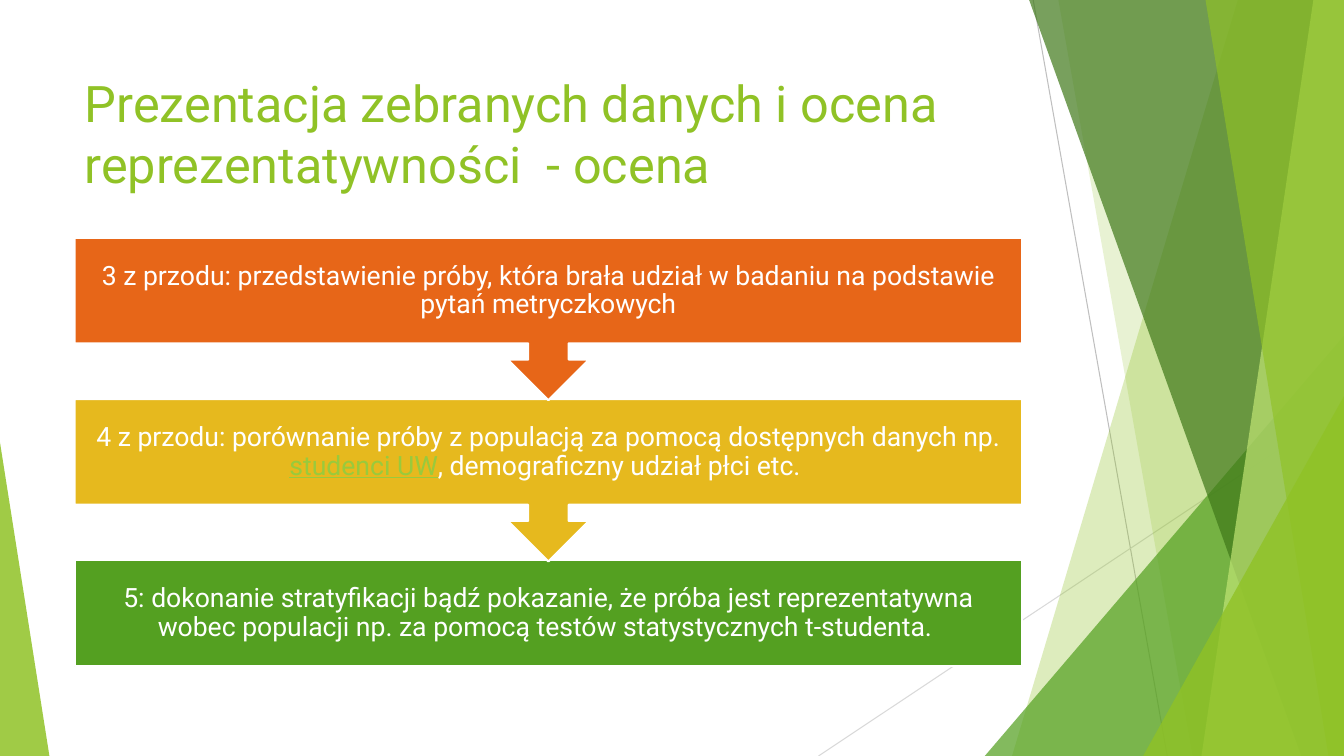
from typing import NamedTuple

from lxml.etree import SubElement
from pptx import Presentation
from pptx.dml.color import RGBColor
from pptx.enum.shapes import MSO_CONNECTOR, MSO_SHAPE
from pptx.enum.text import MSO_ANCHOR, MSO_AUTO_SIZE, PP_ALIGN
from pptx.oxml.ns import qn
from pptx.util import Pt

W, H = 960, 540
LEFT, WIDTH = 53.28, 676.8
STEP_TOP, STEP_PITCH, BOX_H, CALLOUT_H = 169.92, 115.2, 75.6, 115.92
FONT = "Roboto"
COLORS = {
    "lime": "90C226", "green": "54A021", "forest": "3F7819", "pale": "C0E474",
    "orange": "E76618", "gold": "E6B91E", "link": "99CA3C", "white": "FFFFFF",
    "gray": "BFBFBF", "silver": "D9D9D9",
}


class Line(NamedTuple):
    x1: float
    y1: float
    x2: float
    y2: float
    color: str


class Shard(NamedTuple):
    top_x: float
    bottom_x: float
    color: str
    alpha: int


class Triangle(NamedTuple):
    x: float
    y: float
    w: float
    apex: float
    color: str
    alpha: int


class Run(NamedTuple):
    text: str
    color: str = "white"
    underline: bool = False


class Step(NamedTuple):
    color: str
    runs: tuple[Run, ...]


DECOR = (
    Line(738, 0, 833.76, H, "gray"),
    Line(W, 290.16, 584.64, H, "silver"),
    Shard(884.16, 722.88, "lime", 30),
    Shard(756, 851.76, "lime", 20),
    Triangle(703.44, 239.76, 256.56, 1, "green", 72),
    Shard(735.12, 929.52, "forest", 70),
    Shard(938.16, 858.24, "pale", 70),
    Shard(861.12, 948.96, "lime", 65),
    Triangle(816.48, 282.96, 143.52, 1, "lime", 80),
    Triangle(0, 316.08, 35.28, 0, "lime", 85),
)
STEPS = (
    Step("orange", (Run("3 z przodu: przedstawienie próby, która brała udział w badaniu "
                        "na podstawie pytań metryczkowych"),)),
    Step("gold", (Run("4 z przodu: porównanie próby z populacją za pomocą dostępnych danych np. "),
                  Run("studenci UW", "link", True),
                  Run(", demograficzny udział płci etc. "))),
    Step("green", (Run("5: dokonanie stratyfikacji bądź pokazanie, że próba jest reprezentatywna "
                       "wobec populacji np. za pomocą testów statystycznych t-studenta. "),)),
)


def rgb(name: str) -> RGBColor:
    return RGBColor.from_string(COLORS[name])


def fill_shape(sp, color: str, alpha: int = 100) -> None:
    sp.shadow.inherit = False
    sp.fill.solid()
    sp.fill.fore_color.rgb = rgb(color)
    if alpha < 100:
        clr = sp.fill._xPr.find(qn("a:solidFill"))[0]
        SubElement(clr, qn("a:alpha")).set("val", str(alpha * 1000))


def draw_line(s, item: Line) -> None:
    ends = (Pt(v) for v in item[:4])
    cx = s.shapes.add_connector(MSO_CONNECTOR.STRAIGHT, *ends)
    cx.line.color.rgb = rgb(item.color)
    cx.line.width = Pt(0.75)
    SubElement(cx._element.spPr, qn("a:effectLst"))


def draw_shard(s, item: Shard) -> None:
    """Draw a band from a slanted left side to the right slide edge."""
    fb = s.shapes.build_freeform(Pt(item.top_x), 0)
    fb.add_line_segments([(Pt(W), 0), (Pt(W), Pt(H)), (Pt(item.bottom_x), Pt(H))])
    sp = fb.convert_to_shape()
    fill_shape(sp, item.color, item.alpha)
    sp.line.fill.background()


def draw_triangle(s, item: Triangle) -> None:
    sp = s.shapes.add_shape(MSO_SHAPE.ISOSCELES_TRIANGLE, Pt(item.x), Pt(item.y),
                            Pt(item.w), Pt(H - item.y))
    sp.adjustments[0] = item.apex
    fill_shape(sp, item.color, item.alpha)
    sp.line.fill.background()


def add_run(p, run: Run, size: float) -> None:
    r = p.add_run()
    r.text = run.text
    r.font.name = FONT
    r.font.size = Pt(size)
    r.font.color.rgb = rgb(run.color)
    if run.underline:
        r.font.underline = True


def draw_title(s) -> None:
    title = s.shapes.title
    title.left, title.top = Pt(LEFT), Pt(48)
    title.width, title.height = Pt(WIDTH), Pt(104)
    tf = title.text_frame
    tf.auto_size = MSO_AUTO_SIZE.NONE
    tf.vertical_anchor = MSO_ANCHOR.TOP
    p = tf.paragraphs[0]
    p.alignment = PP_ALIGN.LEFT
    add_run(p, Run("Prezentacja zebranych danych i ocena reprezentatywności  - ocena", "lime"), 36)


def draw_step(s, step: Step, top: float, last: bool) -> None:
    """Draw a box, pointing to the next one unless last, with its text."""
    kind = MSO_SHAPE.RECTANGLE if last else MSO_SHAPE.UP_ARROW_CALLOUT
    sp = s.shapes.add_shape(kind, Pt(LEFT), Pt(top), Pt(WIDTH),
                            Pt(BOX_H if last else CALLOUT_H))
    sp.rotation = 0 if last else 180
    fill_shape(sp, step.color)
    sp.line.color.rgb = rgb("white")
    sp.line.width = Pt(1.5)

    # The callout is upside down, so its text needs a box of its own.
    tf = s.shapes.add_textbox(Pt(LEFT), Pt(top), Pt(WIDTH), Pt(BOX_H)).text_frame
    tf.word_wrap = True
    tf.vertical_anchor = MSO_ANCHOR.MIDDLE
    tf.margin_left = tf.margin_right = tf.margin_top = tf.margin_bottom = Pt(10.8)
    p = tf.paragraphs[0]
    p.alignment = PP_ALIGN.CENTER
    p.line_spacing = 0.9
    for run in step.runs:
        add_run(p, run, 19)


def main() -> None:
    prs = Presentation()
    prs.slide_width, prs.slide_height = Pt(W), Pt(H)
    s = prs.slides.add_slide(prs.slide_layouts[5])
    draw = {Line: draw_line, Shard: draw_shard, Triangle: draw_triangle}
    for item in DECOR:
        draw[type(item)](s, item)
    draw_title(s)
    # Later steps lie behind, so each arrow tip stays on top.
    for i, step in reversed(list(enumerate(STEPS))):
        draw_step(s, step, STEP_TOP + i * STEP_PITCH, i == len(STEPS) - 1)
    prs.save("out.pptx")


if __name__ == "__main__":
    main()
